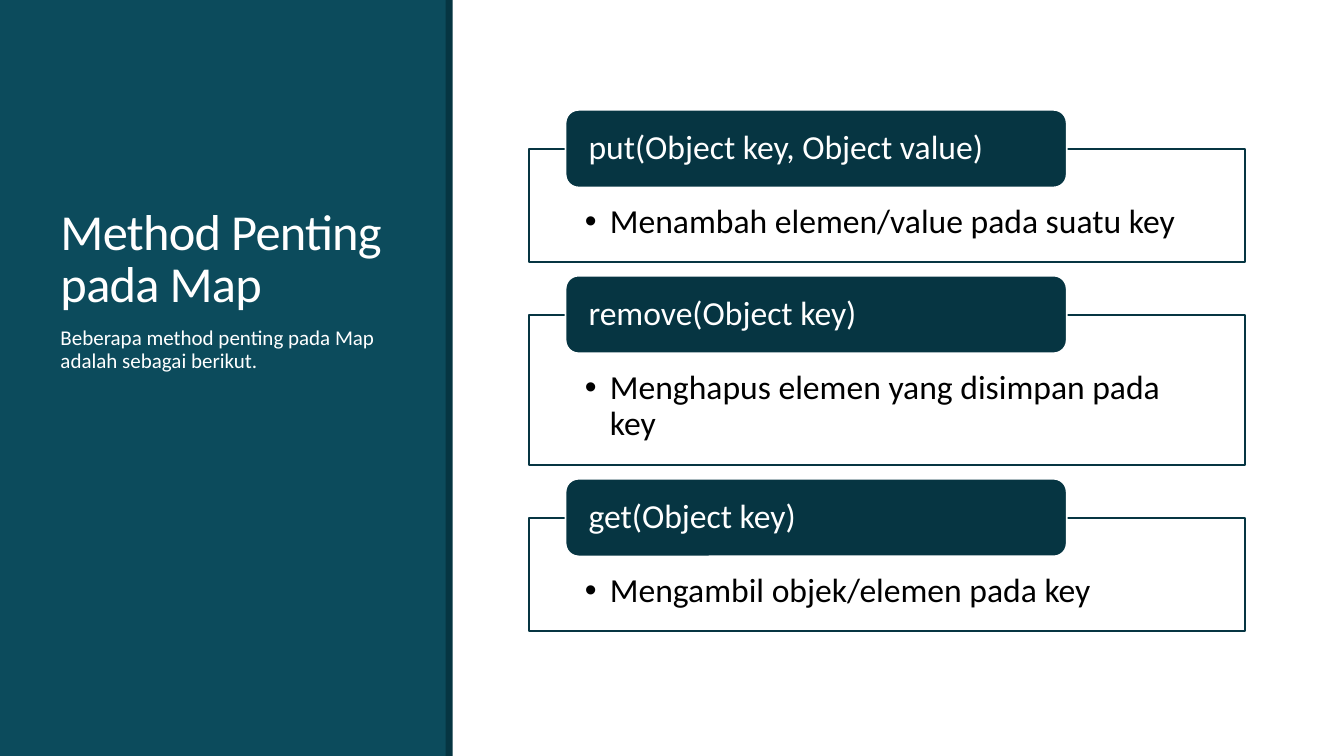
"""Build the slide on the important methods of a Java Map."""
from dataclasses import dataclass

from lxml.etree import SubElement
from pptx import Presentation
from pptx.dml.color import RGBColor as Color
from pptx.enum.shapes import MSO_SHAPE as Shape
from pptx.enum.text import MSO_ANCHOR as Anchor, MSO_AUTO_SIZE as AutoSize, PP_ALIGN as Align
from pptx.oxml.ns import qn
from pptx.util import Inches, Pt

TITLE = "Method Penting pada Map"
INTRO = "Beberapa method penting pada Map adalah sebagai berikut."
METHODS = [
    ("put(Object key, Object value)", "Menambah elemen/value pada suatu key", 1),
    ("remove(Object key)", "Menghapus elemen yang disimpan pada key", 2),
    ("get(Object key)", "Mengambil objek/elemen pada key", 1),
]


@dataclass(frozen=True)
class Theme:
    font: str = "Calibri"
    panel: str = "0C4B5C"
    dark: str = "063542"
    white: str = "FFFFFF"
    black: str = "000000"
    title: int = 36
    intro: int = 15
    card: int = 24
    line: float = 1.25


THEME = Theme()
WIDTH, HEIGHT = 13.33, 7.5
PANEL_WIDTH, STRIPE_WIDTH = 4.43, 0.07
SIDE_LEFT, SIDE_WIDTH = 0.5, 3.5
CARD_LEFT, CARD_TOP, CARD_WIDTH = 5.25, 1.48, 7.1
CARD_BASE, LINE_HEIGHT, CARD_GAP = 0.75, 0.37, 0.525
LABEL_INDENT, LABEL_RISE, LABEL_HEIGHT = 0.36, 0.39, 0.77
LABEL_WIDTH = CARD_WIDTH * 0.7


def place(shape, left, top, width, height):
    shape.left, shape.top = Inches(left), Inches(top)
    shape.width, shape.height = Inches(width), Inches(height)


def add_block(page, kind, bounds, fill, line=None):
    block = page.shapes.add_shape(kind, *map(Inches, bounds))
    block.shadow.inherit = False
    block.fill.solid()
    block.fill.fore_color.rgb = Color.from_string(fill)
    if line:
        block.line.color.rgb = Color.from_string(line)
        block.line.width = Pt(THEME.line)
    else:
        block.line.fill.background()
    return block


def write(shape, text, size, color, anchor, spacing=0.9, insets=(0.1, 0.05, 0.1, 0.05)):
    frame = shape.text_frame
    frame.word_wrap = True
    frame.auto_size = AutoSize.NONE
    frame.vertical_anchor = anchor
    (frame.margin_left, frame.margin_top,
     frame.margin_right, frame.margin_bottom) = map(Inches, insets)
    para = frame.paragraphs[0]
    para.alignment = Align.LEFT
    para.line_spacing = spacing
    span = para.add_run()
    span.text = text
    span.font.name = THEME.font
    span.font.size = Pt(size)
    span.font.bold = False
    span.font.color.rgb = Color.from_string(color)
    return para, span


def add_bullet(para):
    props = para._p.get_or_add_pPr()
    props.set("marL", str(Inches(0.25)))
    props.set("indent", str(-Inches(0.25)))
    SubElement(props, qn("a:buFont")).set("typeface", "Arial")
    SubElement(props, qn("a:buChar")).set("char", "•")


def add_side(page):
    title, content, intro = page.placeholders
    content.element.getparent().remove(content.element)
    panel = add_block(page, Shape.RECTANGLE, (0, 0, PANEL_WIDTH, HEIGHT), THEME.panel)
    stripe = add_block(page, Shape.RECTANGLE,
                       (PANEL_WIDTH - 0.01, 0, STRIPE_WIDTH, HEIGHT), THEME.dark)
    for backdrop in (panel, stripe):
        title.element.addprevious(backdrop.element)
    place(title, SIDE_LEFT, 0.65, SIDE_WIDTH, 2.5)
    span = write(title, TITLE, THEME.title, THEME.white, Anchor.BOTTOM, 0.85)[1]
    span.font._element.set("spc", "-50")
    place(intro, SIDE_LEFT, 3.2, SIDE_WIDTH, 3.7)
    para = write(intro, INTRO, THEME.intro, THEME.white, Anchor.TOP)[0]
    para.space_before, para.space_after = Pt(12), Pt(2)


def add_card(page, top, height, method, meaning):
    card = add_block(page, Shape.RECTANGLE, (CARD_LEFT, top, CARD_WIDTH, height),
                     THEME.white, THEME.dark)
    tint = card.element.spPr.find(qn("a:solidFill"))[0]
    SubElement(tint, qn("a:alpha")).set("val", "90000")
    para = write(card, meaning, THEME.card, THEME.black, Anchor.TOP,
                 insets=(0.55, 0.55, 0.55, 0.19))[0]
    add_bullet(para)
    bounds = (CARD_LEFT + LABEL_INDENT, top - LABEL_RISE, LABEL_WIDTH, LABEL_HEIGHT)
    label = add_block(page, Shape.ROUNDED_RECTANGLE, bounds, THEME.dark, THEME.white)
    write(label, method, THEME.card, THEME.white, Anchor.MIDDLE,
          insets=(0.19, 0, 0.19, 0))


def main():
    deck = Presentation()
    deck.slide_width, deck.slide_height = Inches(WIDTH), Inches(HEIGHT)
    page = deck.slides.add_slide(deck.slide_layouts.get_by_name("Content with Caption"))
    add_side(page)
    top = CARD_TOP
    for method, meaning, lines in METHODS:
        height = CARD_BASE + LINE_HEIGHT * lines
        add_card(page, top, height, method, meaning)
        top += height + CARD_GAP
    deck.save("out.pptx")


if __name__ == "__main__":
    main()
